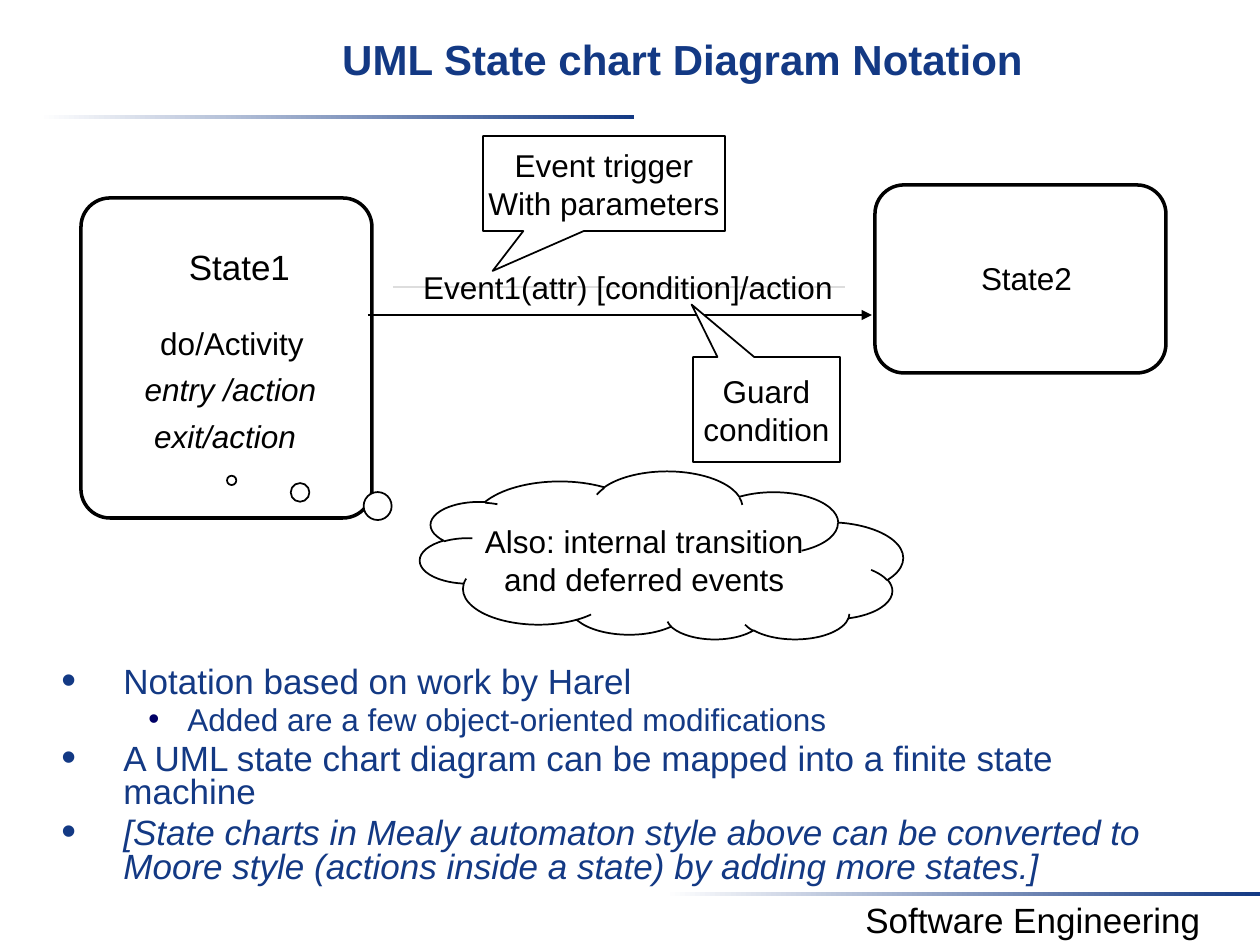
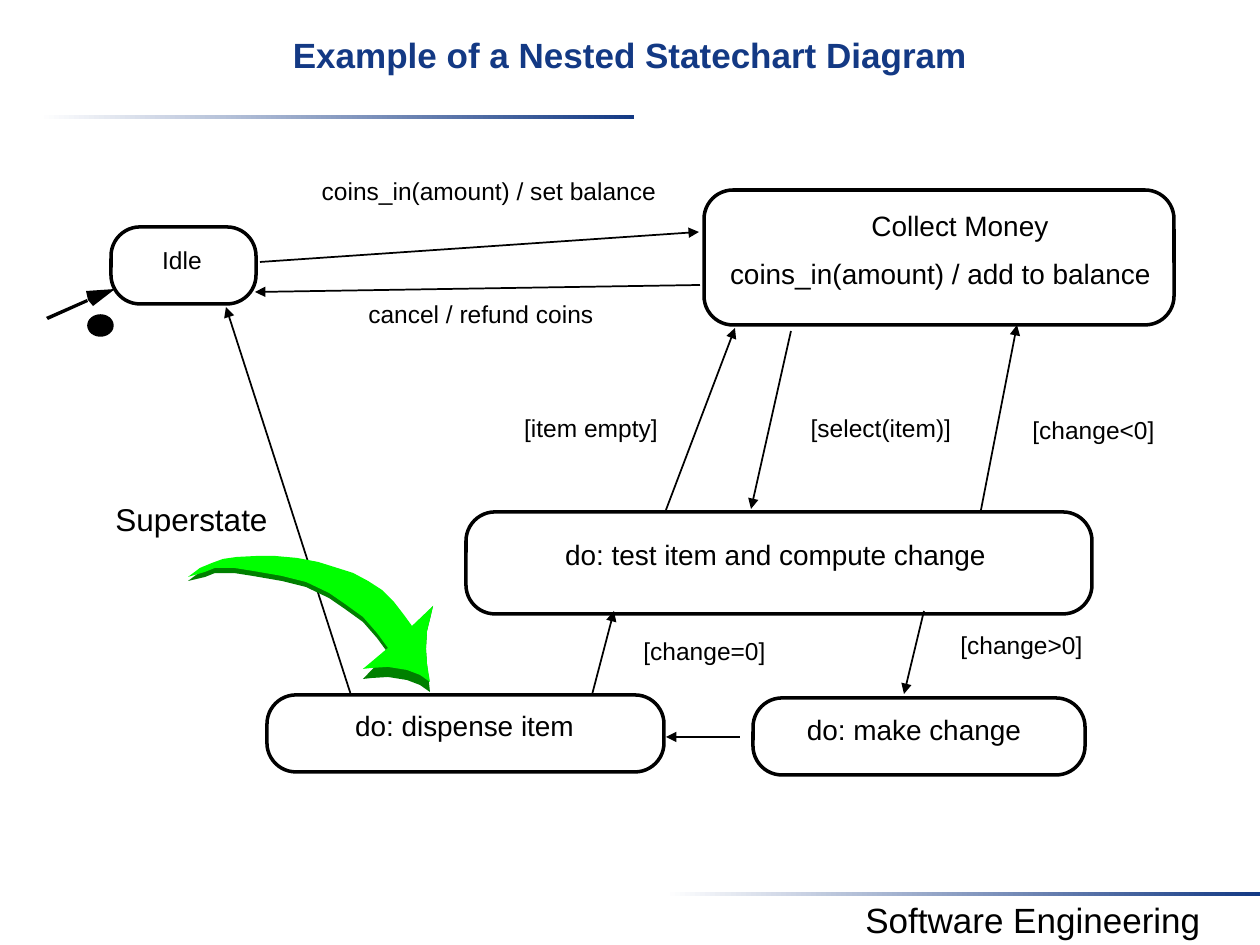
import pptx
import pptx.util
import pptx.dml.color
import pptx.enum.shapes
import pptx.enum.text
import pptx.oxml.ns
from lxml import etree

EMU_PER_PX = 914400 / 126
SLIDE_WIDTH, SLIDE_HEIGHT = 1260, 945
CORNER_RADIUS = 29
FONT = "Arial"
COLORS = {
    "navy": "133984",
    "bullet": "000066",
    "ink": "000000",
    "paper": "FFFFFF",
    "hairline": "DDDDDD",
    "arrow": "00FF00",
    "arrow_shade": "008000",
}
SHAPES = pptx.enum.shapes.MSO_SHAPE
ANCHOR = pptx.enum.text.MSO_ANCHOR
AUTO_SIZE = pptx.enum.text.MSO_AUTO_SIZE
ALIGN = pptx.enum.text.PP_ALIGN
qn = pptx.oxml.ns.qn


def px(*lengths):
    return [pptx.util.Emu(round(length * EMU_PER_PX)) for length in lengths]


def rgb(name):
    return pptx.dml.color.RGBColor.from_string(COLORS[name])


def write(paragraph, text, size=18, color="ink", bold=False, italic=False, align=ALIGN.CENTER):
    paragraph.alignment = align
    run = paragraph.add_run()
    run.text = text
    font = run.font
    font.name = FONT
    font.size = pptx.util.Pt(size)
    font.bold = bold
    font.italic = italic
    font.color.rgb = rgb(color)


def paint(shape, fill=None, line=None, width=1):
    shape.shadow.inherit = False
    if fill:
        shape.fill.solid()
        shape.fill.fore_color.rgb = rgb(fill)
    if line:
        shape.line.color.rgb = rgb(line)
        shape.line.width = pptx.util.Pt(width)
    else:
        shape.line.fill.background()


def add_title(slide, text, box, size):
    title = slide.shapes.title
    title.left, title.top, title.width, title.height = px(*box)
    frame = title.text_frame
    frame.auto_size = AUTO_SIZE.NONE
    frame.vertical_anchor = ANCHOR.TOP
    frame.margin_top = px(8)[0]
    write(frame.paragraphs[0], text, size=size, color="navy", bold=True)


def add_band(slide, left, top):
    band = slide.shapes.add_shape(SHAPES.RECTANGLE, *px(left, top, 595, 4))
    paint(band)
    band.fill.gradient()
    band.fill.gradient_angle = 0
    for stop, position, color in zip(band.fill.gradient_stops, (0, 1), ("paper", "navy")):
        stop.position = position
        stop.color.rgb = rgb(color)


def add_label(slide, text, left, top, width, size=18, wrap=False, **style):
    height = round(size * 2.1 + 12.6)
    label = slide.shapes.add_textbox(*px(left, top, width, height))
    label.text_frame.word_wrap = wrap
    label.text_frame.auto_size = AUTO_SIZE.SHAPE_TO_FIT_TEXT
    write(label.text_frame.paragraphs[0], text, size=size, **style)


def add_state(slide, left, top, width, height):
    state = slide.shapes.add_shape(SHAPES.ROUNDED_RECTANGLE, *px(left, top, width, height))
    state.adjustments[0] = CORNER_RADIUS / min(width, height)
    paint(state, "paper", "ink", 2)


def add_callout(slide, kind, box, tip, lines, flipped=False):
    callout = slide.shapes.add_shape(kind, *px(*box))
    callout.adjustments[0], callout.adjustments[1] = tip
    paint(callout, "paper", "ink")
    frame = callout.text_frame
    frame.word_wrap = False
    frame.vertical_anchor = ANCHOR.MIDDLE
    for index, line in enumerate(lines):
        write(frame.add_paragraph() if index else frame.paragraphs[0], line)
    if flipped:
        callout._element.spPr.find(qn("a:xfrm")).set("flipV", "1")
        frame._txBody.find(qn("a:bodyPr")).set("rot", "10800000")


def add_line(slide, start, end, color="ink", width=1, arrow=True):
    line = slide.shapes.add_connector(pptx.enum.shapes.MSO_CONNECTOR.STRAIGHT, *px(*start, *end))
    line.line.color.rgb = rgb(color)
    line.line.width = pptx.util.Pt(width)
    if arrow:
        etree.SubElement(line.line._get_or_add_ln(), qn("a:tailEnd"), type="triangle")
    etree.SubElement(line._element.spPr, qn("a:effectLst"))


def add_outline(slide, points, fill):
    builder = slide.shapes.build_freeform(*points[0], scale=EMU_PER_PX)
    builder.add_line_segments(points[1:], close=True)
    paint(builder.convert_to_shape(), fill)


def add_bullets(slide, box, items):
    notes = slide.shapes.add_textbox(*px(*box))
    frame = notes.text_frame
    frame.word_wrap = True
    for index, (level, text, italic) in enumerate(items):
        paragraph = frame.add_paragraph() if index else frame.paragraphs[0]
        margin, indent, size = ((62, -62, 20), (126, -39, 18))[level]
        properties = paragraph._p.get_or_add_pPr()
        properties.set("marL", str(px(margin)[0]))
        properties.set("indent", str(px(indent)[0]))
        bullet_color = etree.SubElement(properties, qn("a:buClr"))
        etree.SubElement(bullet_color, qn("a:srgbClr"), val=COLORS["bullet" if level else "navy"])
        etree.SubElement(properties, qn("a:buSzPct"), val="100000" if level else "120000")
        etree.SubElement(properties, qn("a:buFont"), typeface=FONT)
        etree.SubElement(properties, qn("a:buChar"), char="•")
        paragraph.level = level
        paragraph.line_spacing = 0.8
        if index:
            paragraph.space_before = pptx.util.Pt(size / 5)
        write(paragraph, text, size=size, color="navy", italic=italic, align=ALIGN.LEFT)


def add_slide(deck, title, title_box, title_size):
    slide = deck.slides.add_slide(deck.slide_layouts[5])
    add_band(slide, 39, 115)
    add_band(slide, 665, 892)
    add_label(slide, "Software Engineering", 806, 892, 454, size=20, wrap=True)
    add_title(slide, title, title_box, title_size)
    return slide


def build_notation(deck):
    slide = add_slide(deck, "UML State chart Diagram Notation", (105, 25, 1155, 95), 24)
    add_state(slide, 875, 185, 291, 188)
    add_state(slide, 81, 198, 291, 320)
    add_line(slide, (393, 287), (845, 287), color="hairline", arrow=False)
    add_label(slide, "State2", 968, 253, 117)
    add_label(slide, "State1", 176, 239, 127, size=20)
    add_label(slide, "Event1(attr) [condition]/action", 409, 262, 438)
    add_label(slide, "do/Activity", 147, 318, 170)
    add_label(slide, "entry /action", 128, 364, 205, italic=True)
    add_label(slide, "exit/action", 137, 411, 176, italic=True)
    add_bullets(slide, (49, 661, 1142, 247), [
        (0, "Notation based on work by Harel", False),
        (1, "Added are a few object-oriented modifications", False),
        (0, "A UML state chart diagram can be mapped into a finite state machine", False),
        (0, "[State charts in Mealy automaton style above can be converted to "
            "Moore style (actions inside a state) by adding more states.]", True),
    ])
    add_callout(slide, SHAPES.CLOUD_CALLOUT, (420, 472, 483, 168), (-0.89, 0.45),
                ["Also: internal transition", "and deferred events"], flipped=True)
    add_callout(slide, SHAPES.RECTANGULAR_CALLOUT, (483, 136, 242, 95), (-0.46, 0.92),
                ["Event trigger", "With parameters"])
    add_line(slide, (368, 315), (872, 315))
    add_callout(slide, SHAPES.RECTANGULAR_CALLOUT, (693, 357, 147, 105), (-0.51, -1),
                ["Guard", "condition"])


def add_superstate_arrow(slide):
    outer = [(188, 577), (200, 568), (212, 563), (223, 559), (237, 557), (257, 556),
             (275, 556), (297, 558), (318, 562), (334, 567), (353, 573), (368, 581),
             (382, 590), (394, 602), (404, 615), (412, 626)]
    tip_side = [(433, 606), (430, 619), (427, 631), (426, 649), (427, 664)]
    base = [(430, 682), (420, 675), (407, 670), (388, 667), (372, 668), (363, 669)]
    inner = [(388, 648), (377, 633), (363, 617), (345, 604), (329, 593), (306, 582),
             (282, 576), (253, 571), (234, 568), (215, 568), (205, 572)]
    depths = ((outer, 4), (tip_side, 0), (base, 10), (inner, 5))
    add_outline(slide, [(x, y + depth) for edge, depth in depths for x, y in edge], "arrow_shade")
    add_outline(slide, outer + tip_side + base + inner, "arrow")


def build_nested(deck):
    slide = add_slide(deck, "Example of a Nested Statechart Diagram", (0, 25, 1260, 95), 20)
    states = [
        (111, 227, 145, 77),
        (704, 190, 470, 135),
        (466, 512, 626, 102),
        (267, 695, 397, 77),
        (753, 698, 332, 77),
    ]
    transitions = [
        ((351, 695), (226, 307)),
        ((592, 695), (614, 611)),
        ((740, 737), (666, 737)),
        ((260, 262), (699, 232)),
        ((700, 285), (255, 292)),
        ((666, 510), (735, 328)),
        ((791, 331), (751, 509)),
        ((981, 510), (1017, 325)),
        ((924, 611), (904, 694)),
    ]
    state_labels = [
        ("Collect Money", 858, 202, 204),
        ("coins_in(amount) / add to balance", 715, 250, 451),
        ("do: test item and compute change", 550, 531, 451),
        ("do: dispense item", 341, 702, 247),
        ("do: make change", 793, 706, 242),
    ]
    transition_labels = [
        ("Idle", 149, 239, 66),
        ("coins_in(amount) / set balance", 308, 170, 362),
        ("cancel / refund coins", 355, 293, 252),
        ("[item empty]", 511, 407, 160),
        ("[select(item)]", 798, 407, 166),
        ("[change<0]", 1019, 409, 149),
        ("[change=0]", 630, 630, 149),
        ("[change>0]", 947, 624, 149),
    ]
    for state in states:
        add_state(slide, *state)
    for start, end in transitions:
        add_line(slide, start, end)
    for label in state_labels:
        add_label(slide, *label, size=16)
    for label in transition_labels:
        add_label(slide, *label, size=14)
    add_label(slide, "Superstate", 102, 494, 179)
    add_superstate_arrow(slide)
    add_outline(slide, [(86, 291), (115, 289), (93, 306), (88, 300)], "ink")
    add_outline(slide, [(46, 317), (48, 320), (88, 302), (87, 299)], "ink")
    initial_state = slide.shapes.add_shape(SHAPES.OVAL, *px(89, 316, 23, 19))
    paint(initial_state, "ink", "ink", 2)


def main():
    deck = pptx.Presentation()
    deck.slide_width, deck.slide_height = px(SLIDE_WIDTH, SLIDE_HEIGHT)
    build_notation(deck)
    build_nested(deck)
    deck.save("out.pptx")


if __name__ == "__main__":
    main()
